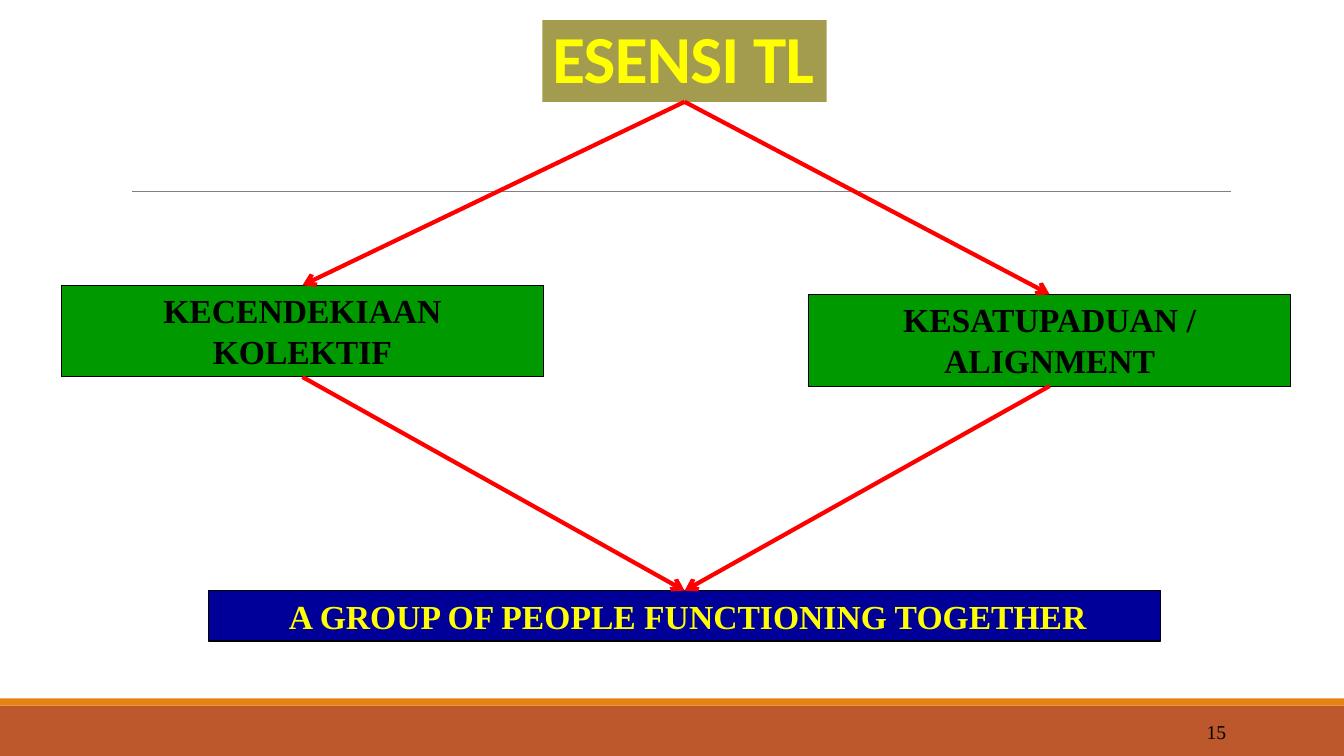
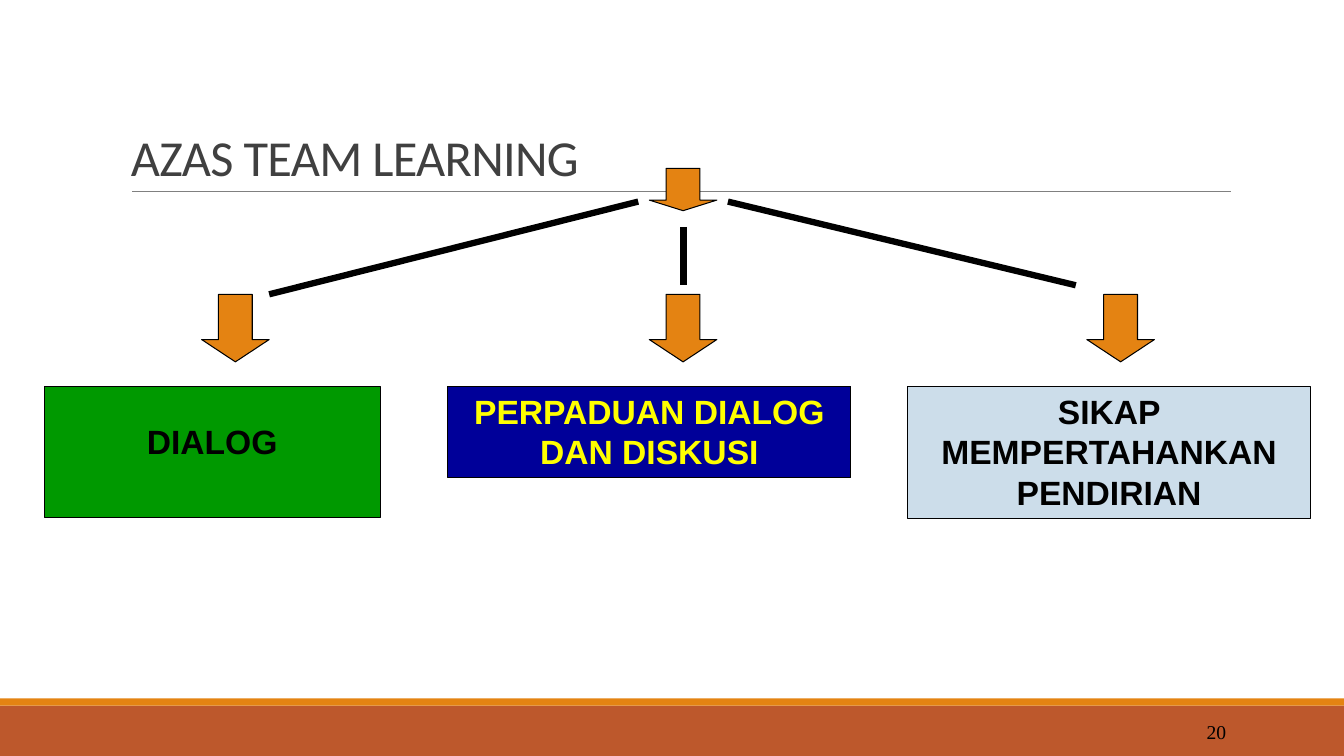
"""Builds two slides on the essence and principles of team learning."""
import pptx
import pptx.util
import pptx.dml.color
import pptx.enum.shapes
import pptx.enum.text
import pptx.oxml.ns
import pptx.oxml.xmlchemy

Inches = pptx.util.Inches
Pt = pptx.util.Pt
RGBColor = pptx.dml.color.RGBColor
Shape = pptx.enum.shapes.MSO_SHAPE
Align = pptx.enum.text.PP_ALIGN
Anchor = pptx.enum.text.MSO_ANCHOR
qn = pptx.oxml.ns.qn
make_tag = pptx.oxml.xmlchemy.OxmlElement

BLACK = RGBColor(0, 0, 0)
GRAY = RGBColor(0x80, 0x80, 0x80)
DARK = RGBColor(0x40, 0x40, 0x40)
RED = RGBColor(0xFF, 0, 0)
RUST = RGBColor(0xBD, 0x58, 0x2C)
ORANGE = RGBColor(0xE4, 0x83, 0x12)
OLIVE = RGBColor(0xA3, 0x9B, 0x4E)
GREEN = RGBColor(0, 0x99, 0)
NAVY = RGBColor(0, 0, 0x99)
PALE = RGBColor(0xCC, 0xDD, 0xEA)
YELLOW = RGBColor(0xFF, 0xFF, 0)
SERIF = "Times New Roman"
TOP, BOTTOM = 0, 2


def add_block(slide, area, fill, line=None, kind=Shape.RECTANGLE):
    block = slide.shapes.add_shape(kind, *map(Inches, area))
    block.shadow.inherit = False
    block.fill.solid()
    block.fill.fore_color.rgb = fill
    if line is None:
        block.line.fill.background()
    else:
        block.line.color.rgb = line
        block.line.width = Pt(0.75)
    return block


def set_text(shape, text, face, size, color, bold=False, align=Align.CENTER, anchor=Anchor.TOP):
    frame = shape.text_frame
    frame.word_wrap = True
    frame.vertical_anchor = anchor
    para = frame.paragraphs[0]
    para.text = text
    para.alignment = align
    font = para.font
    font.name, font.size, font.bold = face, Pt(size), bold
    font.color.rgb = color
    return para


def add_label(slide, area, text, face, fill, color=BLACK):
    label = add_block(slide, area, fill, BLACK)
    set_text(label, text, face, 24, color, True)
    return label


def set_title(shape, text, size, color, bold=False):
    para = set_text(shape, text, "Calibri", size, color, bold, Align.LEFT, Anchor.BOTTOM)
    para.line_spacing = 0.85
    para.runs[0].font._element.set("spc", "-50")


def add_line(slide, start, end, color, width):
    kind = pptx.enum.shapes.MSO_CONNECTOR.STRAIGHT
    line = slide.shapes.add_connector(kind, *map(Inches, start + end))
    line.line.color.rgb = color
    line.line.width = Pt(width)
    line._element.spPr.append(make_tag("a:effectLst"))
    return line


def join(slide, upper, lower):
    line = add_line(slide, (0, 0), (1, 1), RED, 3)
    line.begin_connect(upper, BOTTOM)
    line.end_connect(lower, TOP)
    tip = make_tag("a:tailEnd")
    tip.set("type", "arrow")
    line._element.spPr.find(qn("a:ln")).append(tip)


def add_arrow(slide, left, top, height, point):
    area = (left, top, 0.67, height)
    arrow = add_block(slide, area, ORANGE, BLACK, Shape.DOWN_ARROW)
    arrow.adjustments[0] = 0.5
    arrow.adjustments[1] = point


def add_slide(deck, number):
    slide = deck.slides.add_slide(deck.slide_layouts[6])
    add_block(slide, (0, 7, 13.33, 0.5), RUST)
    add_block(slide, (0, 6.93, 13.33, 0.07), ORANGE)
    add_line(slide, (1.31, 1.9), (12.21, 1.9), GRAY, 0.5)
    page = slide.shapes.add_textbox(*map(Inches, (10.83, 7.06, 1.43, 0.4)))
    set_text(page, number, SERIF, 14, BLACK, align=Align.RIGHT, anchor=Anchor.MIDDLE)
    return slide


def build_essence(deck):
    slide = add_slide(deck, "15")
    title = add_block(slide, (5.38, 0.2, 2.82, 0.81), OLIVE)
    set_title(title, "ESENSI TL", 48, YELLOW, True)
    sides = [
        add_label(slide, (0.61, 2.83, 4.78, 0.91), "KECENDEKIAAN KOLEKTIF", SERIF, GREEN),
        add_label(slide, (8.02, 2.92, 4.78, 0.91), "KESATUPADUAN / ALIGNMENT", SERIF, GREEN),
    ]
    goal = add_label(slide, (2.07, 5.86, 9.44, 0.5),
                     " A GROUP OF PEOPLE FUNCTIONING TOGETHER", SERIF, NAVY, YELLOW)
    for side in sides:
        join(slide, title, side)
        join(slide, side, goal)


def build_basis(deck):
    slide = add_slide(deck, "20")
    title = slide.shapes.add_textbox(*map(Inches, (1.2, 0.31, 11, 1.59)))
    set_title(title, "AZAS TEAM LEARNING", 36, DARK)
    talk = add_label(slide, (0.44, 3.83, 3.33, 1.3), "DIALOG", "Arial", GREEN)
    talk.text_frame.margin_top = Inches(0.35)
    add_label(slide, (4.44, 3.83, 4, 0.91), "PERPADUAN DIALOG DAN DISKUSI", "Arial", NAVY, YELLOW)
    add_label(slide, (9, 3.83, 4, 1.31), "SIKAP MEMPERTAHANKAN PENDIRIAN", "Arial", PALE)
    add_arrow(slide, 6.44, 1.67, 0.42, 0.25)
    for left in (2, 6.44, 10.78):
        add_arrow(slide, left, 2.92, 0.67, 0.33)
    for start, end in (
        ((6.33, 2), (2.67, 2.92)),
        ((6.78, 2.25), (6.78, 2.83)),
        ((7.22, 2), (10.67, 2.83)),
    ):
        add_line(slide, start, end, BLACK, 4.5)


def main():
    deck = pptx.Presentation()
    deck.slide_width = Inches(13.33)
    deck.slide_height = Inches(7.5)
    build_essence(deck)
    build_basis(deck)
    deck.save("out.pptx")


if __name__ == "__main__":
    main()
